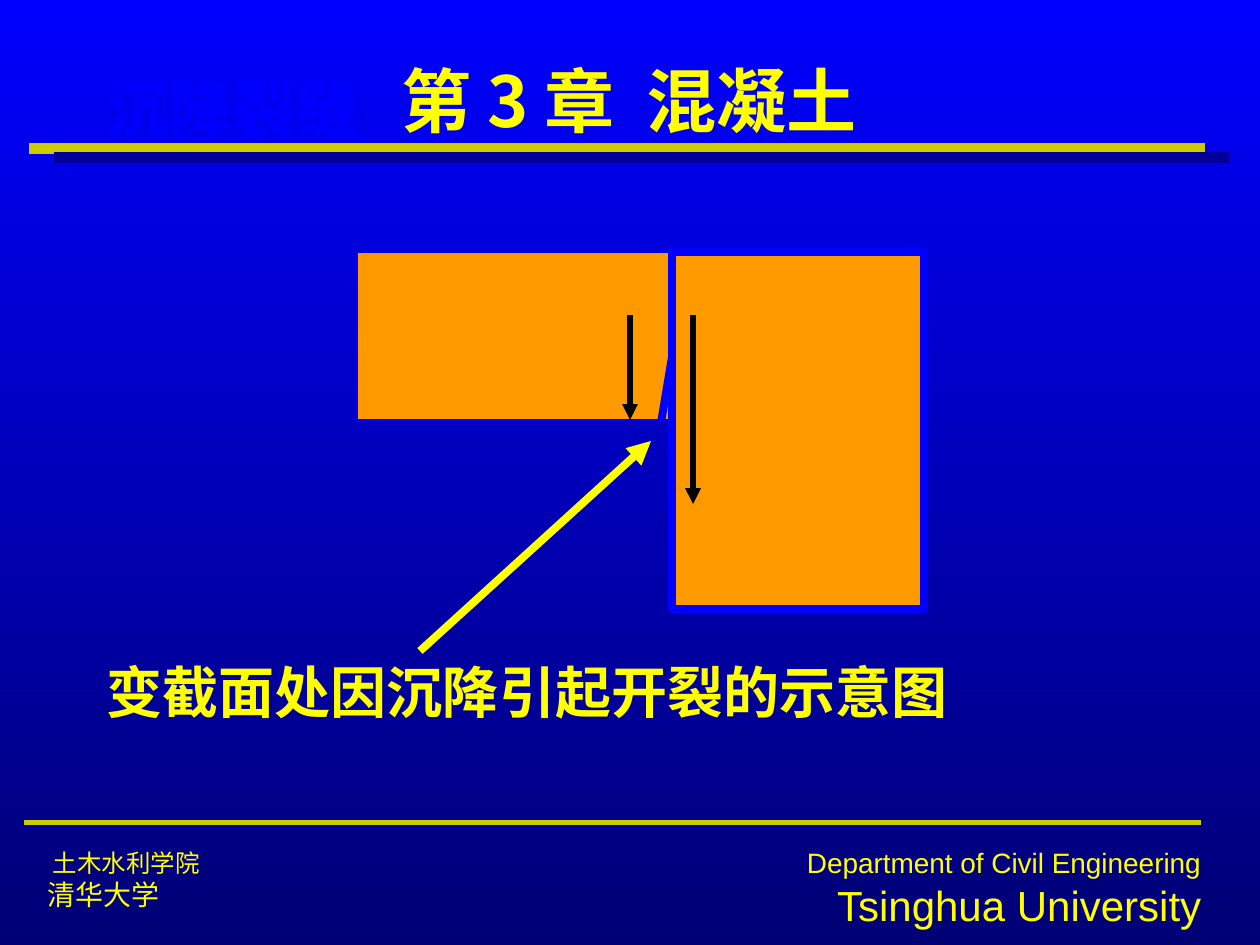
import pptx
import pptx.util
import pptx.dml.color
import pptx.enum.shapes
import pptx.enum.text
import pptx.oxml
import pptx.oxml.ns

Pt = pptx.util.Pt
RGB = pptx.dml.color.RGBColor.from_string
ALIGN = pptx.enum.text.PP_ALIGN
ANCHOR = pptx.enum.text.MSO_ANCHOR
qn = pptx.oxml.ns.qn
COLORS = {
    "blue": "0000FF",
    "navy": "000075",
    "shade": "000099",
    "gold": "CCCC00",
    "yellow": "FFFF00",
    "orange": "FF9900",
    "black": "000000",
}

prs = pptx.Presentation()
prs.slide_width, prs.slide_height = Pt(720), Pt(540)
s = prs.slides.add_slide(prs.slide_layouts[5])

fill = s.background.fill
fill.gradient()
fill.gradient_angle = 270
for stop, name, pos in zip(fill.gradient_stops, ("blue", "navy"), (0, 1)):
    stop.color.rgb = RGB(COLORS[name])
    stop.position = pos


def add_line(x1, y1, x2, y2, color, width, arrow=False):
    sp = s.shapes.add_connector(
        pptx.enum.shapes.MSO_CONNECTOR.STRAIGHT, Pt(x1), Pt(y1), Pt(x2), Pt(y2))
    sp.line.color.rgb = RGB(COLORS[color])
    sp.line.width = Pt(width)
    if arrow:
        pptx.oxml.ns
        tail = sp.line._get_or_add_ln().makeelement(qn("a:tailEnd"), {"type": "triangle"})
        sp.line._get_or_add_ln().append(tail)
    sp_pr = sp._element.spPr
    sp_pr.append(sp_pr.makeelement(qn("a:effectLst"), {}))


def set_text(sp, box, lines, font, color, bold=False, align=ALIGN.LEFT, anchor=ANCHOR.TOP):
    sp.left, sp.top, sp.width, sp.height = [Pt(v) for v in box]
    tf = sp.text_frame
    tf.text = "\n".join(text for text, size in lines)
    tf.word_wrap = True
    tf.auto_size = pptx.enum.text.MSO_AUTO_SIZE.NONE
    tf.vertical_anchor = anchor
    for p, (text, size) in zip(tf.paragraphs, lines):
        p.alignment = align
        r = p.runs[0]
        r.font.name = font
        r.font.size = Pt(size)
        r.font.bold = bold
        r.font.color.rgb = RGB(COLORS[color])
        ea = r._r.rPr.makeelement(qn("a:ea"), {"typeface": "Noto Sans CJK SC"})
        r._r.rPr.find(qn("a:latin")).addnext(ea)


rules = [
    (16.5, 85, 688.5, 85, "gold", 6),
    (31, 90, 702.5, 90, "shade", 6),
    (14, 473, 686, 473, "shade", 3),
    (13.5, 470, 686.5, 470, "gold", 3),
]
for rule in rules:
    add_line(*rule)

for left, width, height, border in [(204, 180, 96, 0.75), (384, 144, 204, 4.5)]:
    sp = s.shapes.add_shape(
        pptx.enum.shapes.MSO_SHAPE.RECTANGLE, Pt(left), Pt(144), Pt(width), Pt(height))
    sp.shadow.inherit = False
    sp.fill.solid()
    sp.fill.fore_color.rgb = RGB(COLORS["orange"])
    sp.line.color.rgb = RGB(COLORS["blue"])
    sp.line.width = Pt(border)

add_line(360, 180, 360, 240, "black", 3, arrow=True)
add_line(396, 180, 396, 288, "black", 3, arrow=True)
add_line(384, 204, 378, 240, "blue", 4.5)
add_line(240, 372, 372, 252, "yellow", 4.5, arrow=True)

set_text(s.shapes.title, (53.5, 32.5, 612, 49), [("第 3 章  混凝土", 40)],
         "Noto Sans CJK SC", "yellow", True, ALIGN.CENTER, ANCHOR.MIDDLE)

texts = [
    ((54, 36, 180, 50), [("沉降裂缝", 36)], "Times New Roman", "blue", True),
    ((54, 372, 566, 46), [("变截面处因沉降引起开裂的示意图", 32)],
     "Times New Roman", "yellow", True),
    ((20, 481, 287, 43), [("土木水利学院", 14), ("清华大学", 16)],
     "Arial", "yellow", False, ALIGN.LEFT, ANCHOR.MIDDLE),
    ((407, 479.5, 286.5, 55.5),
     [("Department of Civil Engineering", 16), ("Tsinghua University", 24)],
     "Arial", "yellow", False, ALIGN.RIGHT, ANCHOR.MIDDLE),
]
for text in texts:
    sp = s.shapes.add_textbox(0, 0, 0, 0)
    set_text(sp, *text)
sp = s.shapes[-2]
sp.text_frame.paragraphs[0]._p.get_or_add_pPr().set("marL", str(Pt(3)))

prs.save("out.pptx")
